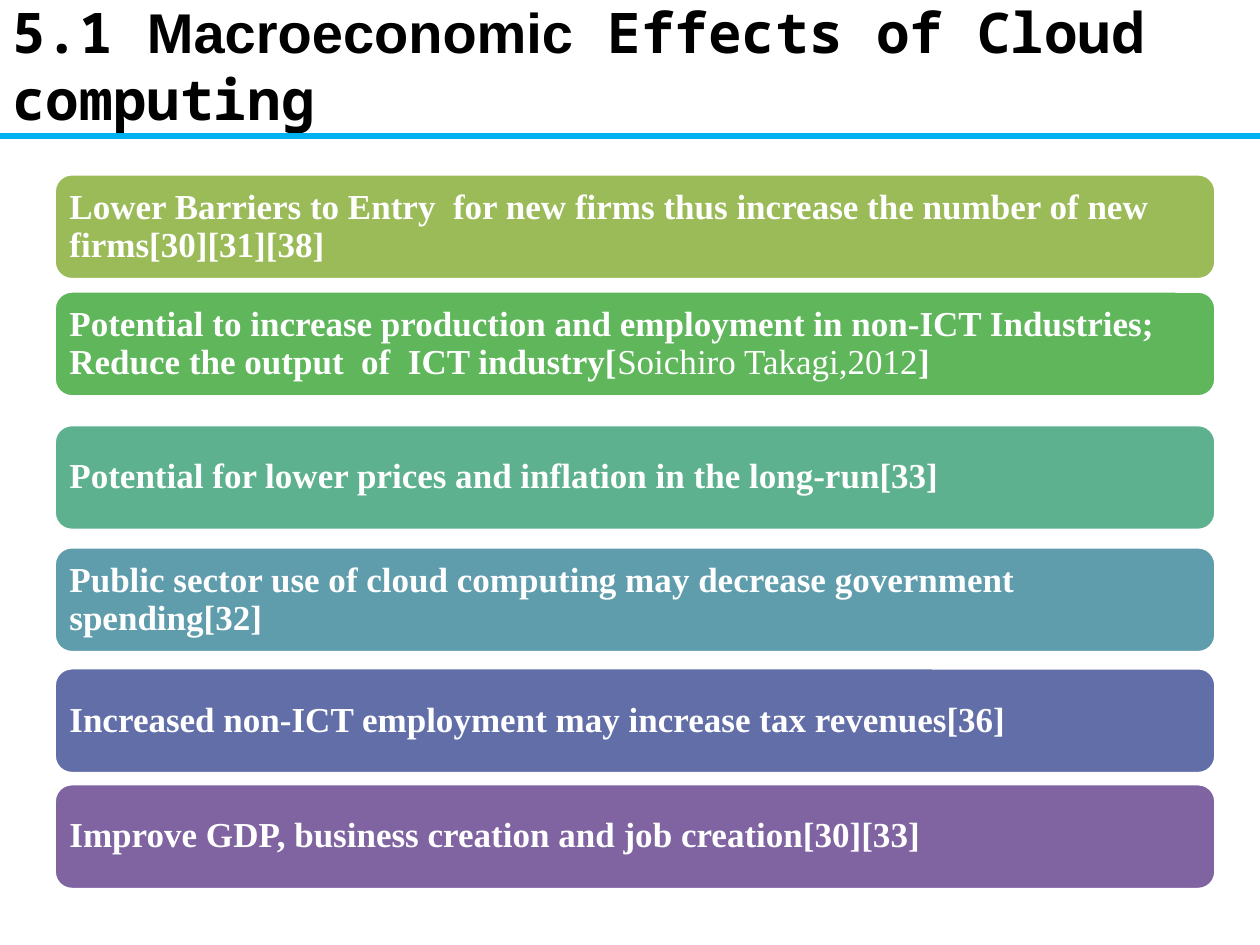
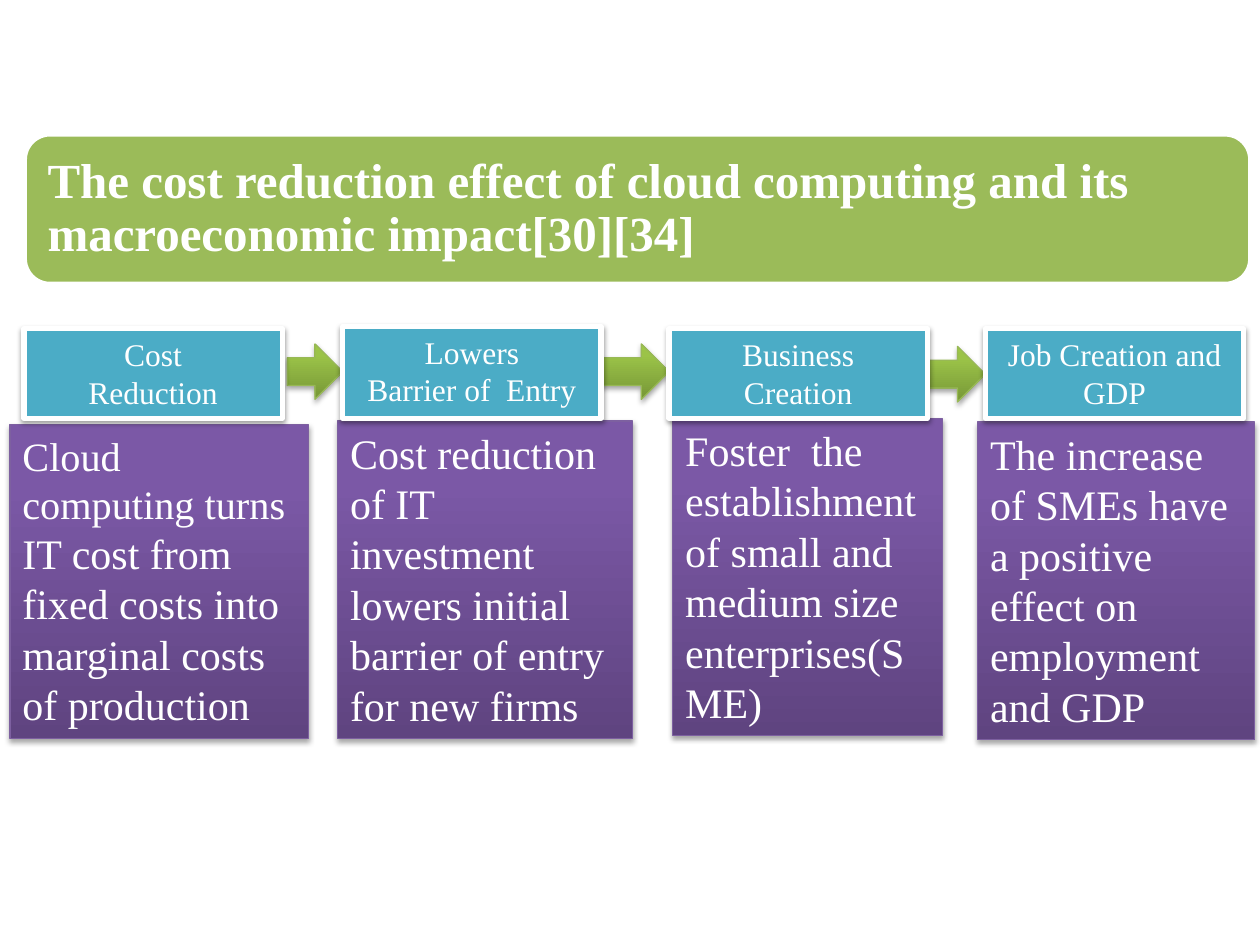
from copy import deepcopy
from dataclasses import dataclass

from lxml.etree import SubElement
from pptx import Presentation
from pptx.dml.color import RGBColor
from pptx.enum.shapes import MSO_CONNECTOR, MSO_SHAPE
from pptx.enum.text import MSO_ANCHOR, MSO_AUTO_SIZE, PP_ALIGN
from pptx.oxml.ns import qn
from pptx.util import Inches, Pt


@dataclass(frozen=True)
class Theme:
    black: str = "000000"
    white: str = "FFFFFF"
    rule: str = "00B0F0"
    green: str = "9BBB59"
    label: str = "4BACC6"
    purple_edge: str = "7D60A0"
    purple_fade: tuple = ("5F4480", "7B58A6", "7C57A8")
    arrow_edge: str = "98B955"
    arrow_fade: tuple = ("779737", "9BC348", "9DC746")
    fade_stops: tuple = (0, 0.8, 1)
    body_font: str = "Times New Roman"
    title_font: str = "Noto Sans Mono"
    accent_font: str = "Arial"
    title_size: int = 32
    banner_size: int = 28
    detail_size: int = 24
    effect_size: int = 20
    label_size: int = 18


T = Theme()

# Top, fill and text runs; every second run is not bold
EFFECTS = [
    (1.38, T.green, ["Lower Barriers to Entry  for new firms thus increase the number "
                     "of new firms[30][31][38]"]),
    (2.31, "5FB65B", ["Potential to increase production and employment in non-ICT Industries; "
                      "Reduce the output  of  ICT industry[", "Soichiro Takagi,2012", "]"]),
    (3.37, "5DB18E", ["Potential for lower prices and inflation in the long-run[33]"]),
    (4.34, "5F9DAC", ["Public sector use of cloud computing may decrease government spending[32]"]),
    (5.3, "626EA7", ["Increased non-ICT employment may increase tax revenues[36]"]),
    (6.22, "8064A2", ["Improve GDP, business creation and job creation[30][33]"]),
]

# Label box, label lines, detail box, detail runs as (text, size)
STEPS = [
    ((0.19, 2.61, 2.05, 0.71), ["Cost", "Reduction"], (0.08, 3.37, 2.37, 2.49),
     [("Cloud computing turns ", 23),
      ("IT cost from fixed costs into marginal costs of production", T.detail_size)]),
    ((2.72, 2.59, 2.05, 0.73), ["Lowers", "Barrier of  Entry"], (2.68, 3.34, 2.34, 2.52),
     [("Cost reduction of IT investment lowers initial barrier of entry for new firms",
       T.detail_size)]),
    ((5.31, 2.61, 2.05, 0.71), ["Business", "Creation"], (5.34, 3.32, 2.14, 2.52),
     [("Foster  the establishment of small and medium size enterprises(SME)", T.detail_size)]),
    ((7.82, 2.61, 2.05, 0.71), ["Job Creation and GDP"], (7.76, 3.35, 2.2, 2.52),
     [("The increase of SMEs have a positive effect on employment and GDP", T.detail_size)]),
]
ARROWS = [(2.28, 2.73, 0.44, 0.44), (4.76, 2.73, 0.55, 0.44), (7.36, 2.75, 0.46, 0.44)]


def rgb(color):
    return RGBColor.from_string(color)


def style_font(font, size, color=T.white, name=T.body_font, bold=False):
    font.size, font.name, font.bold = Pt(size), name, bold
    font.color.rgb = rgb(color)


def add_box(slide, kind, box, fill, edge, width):
    """Add a preset shape; a tuple as fill gives a fade from bottom to top."""
    sp = slide.shapes.add_shape(kind, *map(Inches, box))
    if isinstance(fill, tuple):
        sp.fill.gradient()
        sp.fill.gradient_angle = 90
        stop_list = sp._element.spPr.find(qn("a:gradFill")).find(qn("a:gsLst"))
        stop_list.append(deepcopy(stop_list[-1]))
        for stop, color, position in zip(sp.fill.gradient_stops, fill, T.fade_stops):
            stop.color.rgb = rgb(color)
            stop.position = position
    else:
        sp.fill.solid()
        sp.fill.fore_color.rgb = rgb(fill)
    sp.line.color.rgb = rgb(edge)
    sp.line.width = Pt(width)
    sp.shadow.inherit = False
    return sp


def add_shadow(sp, alpha, distance):
    effects = sp._element.spPr.find(qn("a:effectLst"))
    shadow = SubElement(effects, qn("a:outerShdw"), blurRad=str(Pt(3.1)),
                        dist=str(Pt(distance)), dir="5400000", rotWithShape="0")
    color = SubElement(shadow, qn("a:srgbClr"), val=T.black)
    SubElement(color, qn("a:alpha"), val=str(alpha * 1000))


def add_title(slide, box):
    tf = slide.shapes.add_textbox(*map(Inches, box)).text_frame
    tf.word_wrap = True
    tf.vertical_anchor = MSO_ANCHOR.MIDDLE
    p = tf.paragraphs[0]
    for text, name in [("5.1 ", T.title_font), ("Macroeconomic", T.accent_font),
                       (" Effects of Cloud computing", T.title_font)]:
        r = p.add_run()
        r.text = text
        style_font(r.font, T.title_size, T.black, name, True)


def add_rule(slide, y):
    line = slide.shapes.add_connector(MSO_CONNECTOR.STRAIGHT, 0, Inches(y), Inches(10), Inches(y))
    line.line.color.rgb = rgb(T.rule)
    line.line.width = Pt(3)
    SubElement(line._element.spPr, qn("a:effectLst"))


def add_banner(slide, box, fill, texts, size, inset):
    sp = add_box(slide, MSO_SHAPE.ROUNDED_RECTANGLE, box, fill, T.white, 2)
    tf = sp.text_frame
    tf.word_wrap = True
    tf.vertical_anchor = MSO_ANCHOR.MIDDLE
    tf.margin_left = tf.margin_right = tf.margin_top = tf.margin_bottom = Inches(inset)
    p = tf.paragraphs[0]
    p.alignment = PP_ALIGN.LEFT
    p.line_spacing = 0.9
    for i, text in enumerate(texts):
        r = p.add_run()
        r.text = text
        style_font(r.font, size, bold=i % 2 == 0)


def add_growing_box(slide, box, fill, edge, width, alpha, distance):
    """Add a shadowed rectangle that fits its text and return its text frame."""
    sp = add_box(slide, MSO_SHAPE.RECTANGLE, box, fill, edge, width)
    add_shadow(sp, alpha, distance)
    tf = sp.text_frame
    tf.word_wrap = True
    tf.auto_size = MSO_AUTO_SIZE.SHAPE_TO_FIT_TEXT
    tf.vertical_anchor = MSO_ANCHOR.TOP
    return tf


def add_detail(slide, box, runs):
    tf = add_growing_box(slide, box, T.purple_fade, T.purple_edge, 0.75, 35, 1.8)
    p = tf.paragraphs[0]
    p.alignment = PP_ALIGN.LEFT
    for text, size in runs:
        r = p.add_run()
        r.text = text
        style_font(r.font, size)


def add_label(slide, box, lines):
    tf = add_growing_box(slide, box, T.label, T.white, 3, 38, 1.6)
    tf.text = "\n".join(lines)
    for p in tf.paragraphs:
        p.alignment = PP_ALIGN.CENTER
        style_font(p.font, T.label_size)


def add_arrow(slide, box):
    sp = add_box(slide, MSO_SHAPE.RIGHT_ARROW, box, T.arrow_fade, T.arrow_edge, 0.75)
    add_shadow(sp, 35, 1.8)


def build_effects(slide):
    add_title(slide, (0, -0.11, 10.2, 1.25))
    for top, fill, texts in EFFECTS:
        add_banner(slide, (0.43, top, 9.22, 0.84), fill, texts, T.effect_size, 0.08)
    add_rule(slide, 1.08)


def build_cost_chain(slide):
    for _, _, box, runs in STEPS:
        add_detail(slide, box, runs)
    add_banner(slide, (0.2, 1.07, 9.72, 1.18), T.green,
               ["The cost reduction effect of cloud computing and its "
                "macroeconomic impact[30][34]"], T.banner_size, 0.12)
    for box in ARROWS:
        add_arrow(slide, box)
    for box, lines, _, _ in STEPS:
        add_label(slide, box, lines)


def main():
    prs = Presentation()
    prs.slide_width, prs.slide_height = Inches(10), Inches(7.5)
    for build in (build_effects, build_cost_chain):
        build(prs.slides.add_slide(prs.slide_layouts[6]))
    prs.save("out.pptx")


if __name__ == "__main__":
    main()
